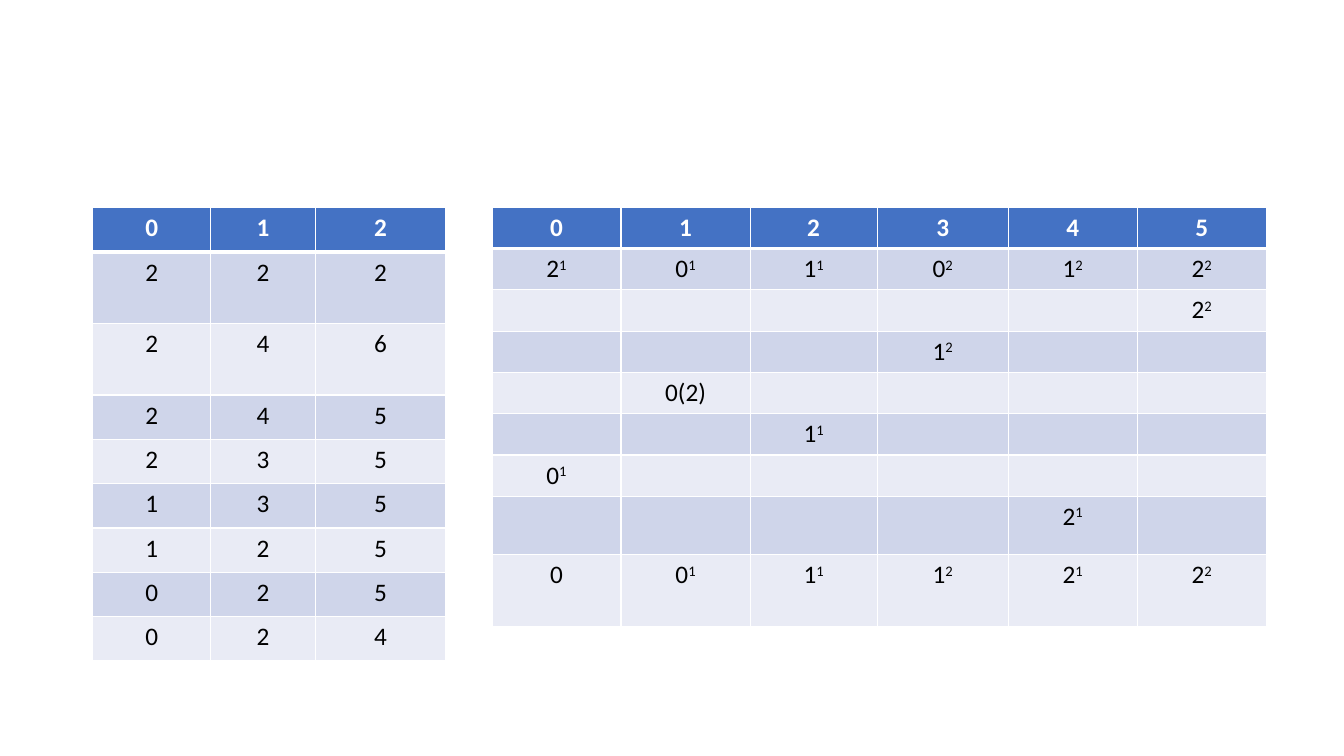
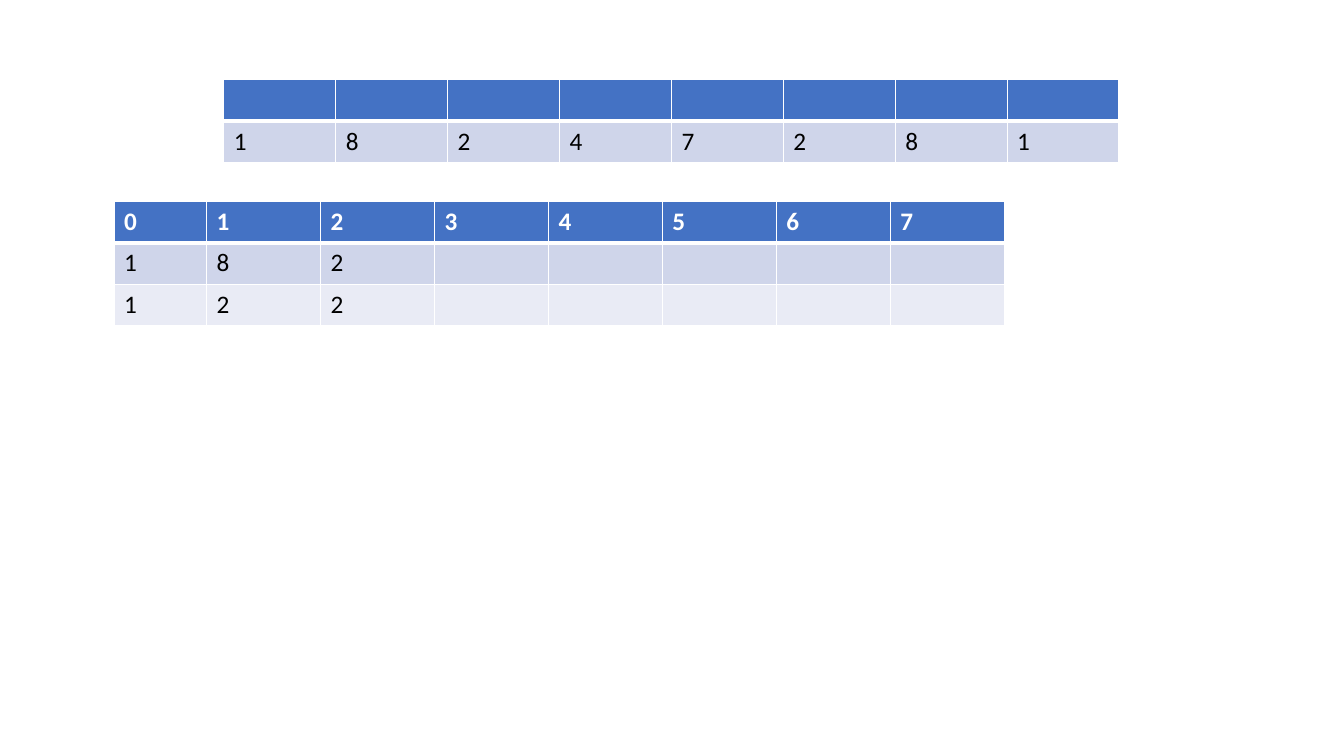
from lxml import etree
from pptx import Presentation
from pptx.dml.color import RGBColor
from pptx.enum import text
from pptx.oxml import ns
from pptx.util import Inches, Pt

COLORS = {
    "header": "4472C4",
    "odd_row": "CFD5EA",
    "even_row": "E9EBF5",
    "border": "FFFFFF",
    "header_text": "FFFFFF",
    "body_text": "000000",
}
FONT = "Calibri"
EMPTY = "-"  # marks a cell without text


def set_borders(cell, row_index):
    """Draw thin borders, with a thick rule between header and body."""
    properties = cell._tc.get_or_add_tcPr()
    thick_side = {0: "lnB", 1: "lnT"}.get(row_index)
    for position, side in enumerate(("lnL", "lnR", "lnT", "lnB")):
        width = Pt(3 if side == thick_side else 1)
        line = etree.Element(ns.qn(f"a:{side}"), w=str(width))
        fill = etree.SubElement(line, ns.qn("a:solidFill"))
        etree.SubElement(fill, ns.qn("a:srgbClr"), val=COLORS["border"])
        properties.insert(position, line)


def add_grid(slide, left, top, widths, heights, rows, alignment=None):
    """Add a banded table; "2^1" stands for 2 with a superscript 1."""
    table = slide.shapes.add_table(
        len(heights), len(widths), Inches(left), Inches(top),
        Inches(sum(widths)), Inches(sum(heights))).table
    for column, width in zip(table.columns, widths):
        column.width = Inches(width)
    for row_index, (height, row) in enumerate(zip(heights, rows)):
        table.rows[row_index].height = Inches(height)
        is_header = row_index == 0
        band = "header" if is_header else "odd_row" if row_index % 2 else "even_row"
        for column_index, value in enumerate(row.split()):
            cell = table.cell(row_index, column_index)
            cell.fill.solid()
            cell.fill.fore_color.rgb = RGBColor.from_string(COLORS[band])
            set_borders(cell, row_index)
            paragraph = cell.text_frame.paragraphs[0]
            paragraph.alignment = alignment
            if value == EMPTY:
                continue
            for part_index, part in enumerate(value.split("^")):
                run = paragraph.add_run()
                run.text = part
                run.font.name = FONT
                run.font.size = Pt(18)
                run.font.bold = is_header
                run.font.color.rgb = RGBColor.from_string(
                    COLORS["header_text" if is_header else "body_text"])
                if part_index == 1:
                    run.font._element.set("baseline", "30000")


presentation = Presentation()
presentation.slide_width = Inches(13.33)
presentation.slide_height = Inches(7.5)
blank_layout = presentation.slide_layouts[6]

# Slide 1: indexed values on the right, running counts on the left
slide = presentation.slides.add_slide(blank_layout)
add_grid(
    slide, 4.88, 2.06,
    [1.28, 1.28, 1.26, 1.3, 1.28, 1.28],
    [0.4] + [0.41] * 6 + [0.58, 0.71],
    [
        "0 1 2 3 4 5",
        "2^1 0^1 1^1 0^2 1^2 2^2",
        "- - - - - 2^2",
        "- - - 1^2 - -",
        "- 0(2) - - - -",
        "- - 1^1 - - -",
        "0^1 - - - - -",
        "- - - - 2^1 -",
        "0 0^1 1^1 1^2 2^1 2^2",
    ],
    text.PP_ALIGN.CENTER)
add_grid(
    slide, 0.92, 2.06,
    [1.17, 1.04, 1.29],
    [0.44] + [0.71] * 2 + [0.44] * 6,
    ["0 1 2", "2 2 2", "2 4 6", "2 4 5", "2 3 5",
     "1 3 5", "1 2 5", "0 2 5", "0 2 4"],
    text.PP_ALIGN.CENTER)

# Slide 2: partial result below, input values above
slide = presentation.slides.add_slide(blank_layout)
add_grid(
    slide, 1.13, 2, [0.92] + [1.13] * 7, [0.41] * 3,
    ["0 1 2 3 4 5 6 7", "1 8 2 - - - - -", "1 2 2 - - - - -"])
add_grid(
    slide, 2.22, 0.79, [1.11] * 8, [0.41] * 2,
    ["- - - - - - - -", "1 8 2 4 7 2 8 1"])

presentation.save("out.pptx")
